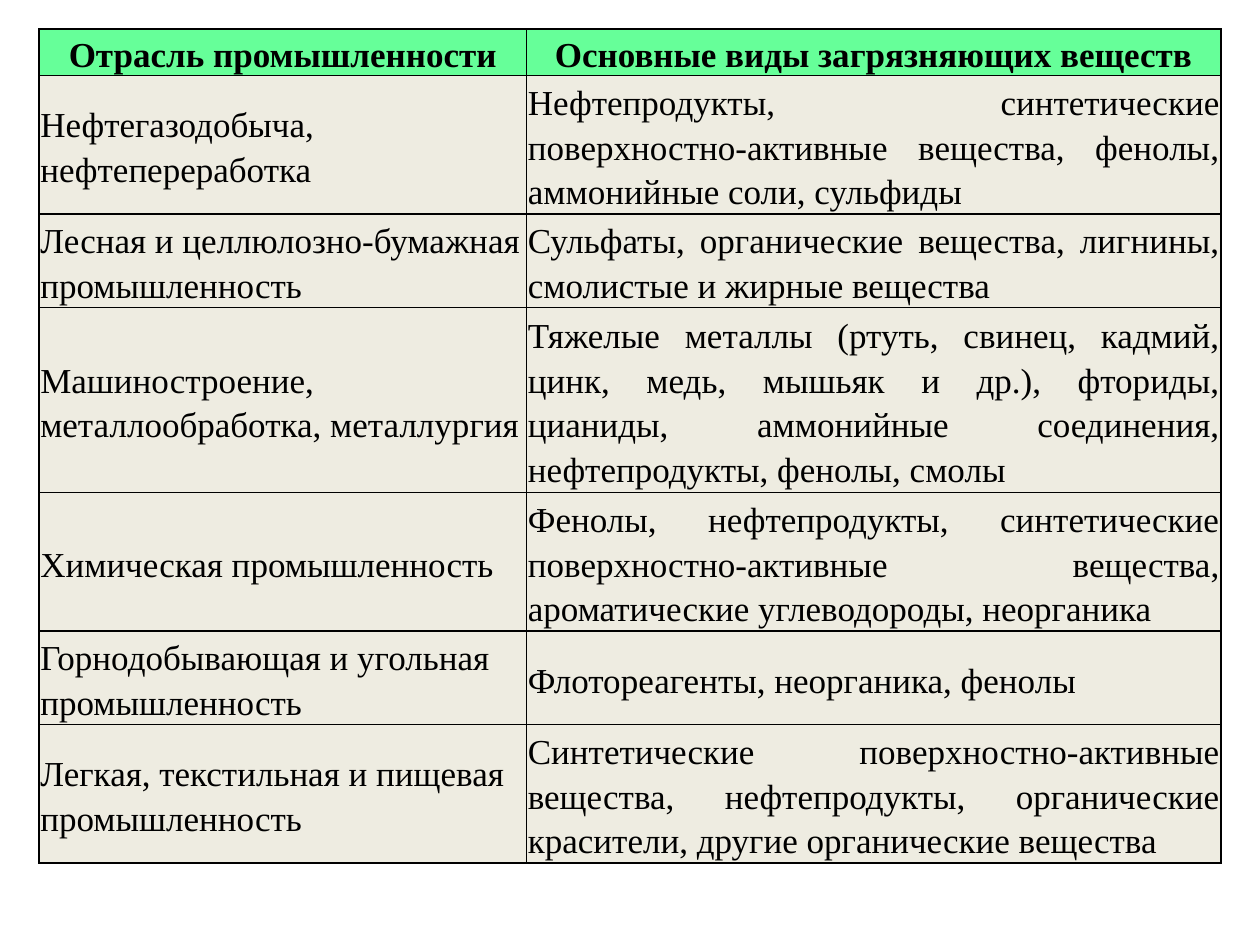
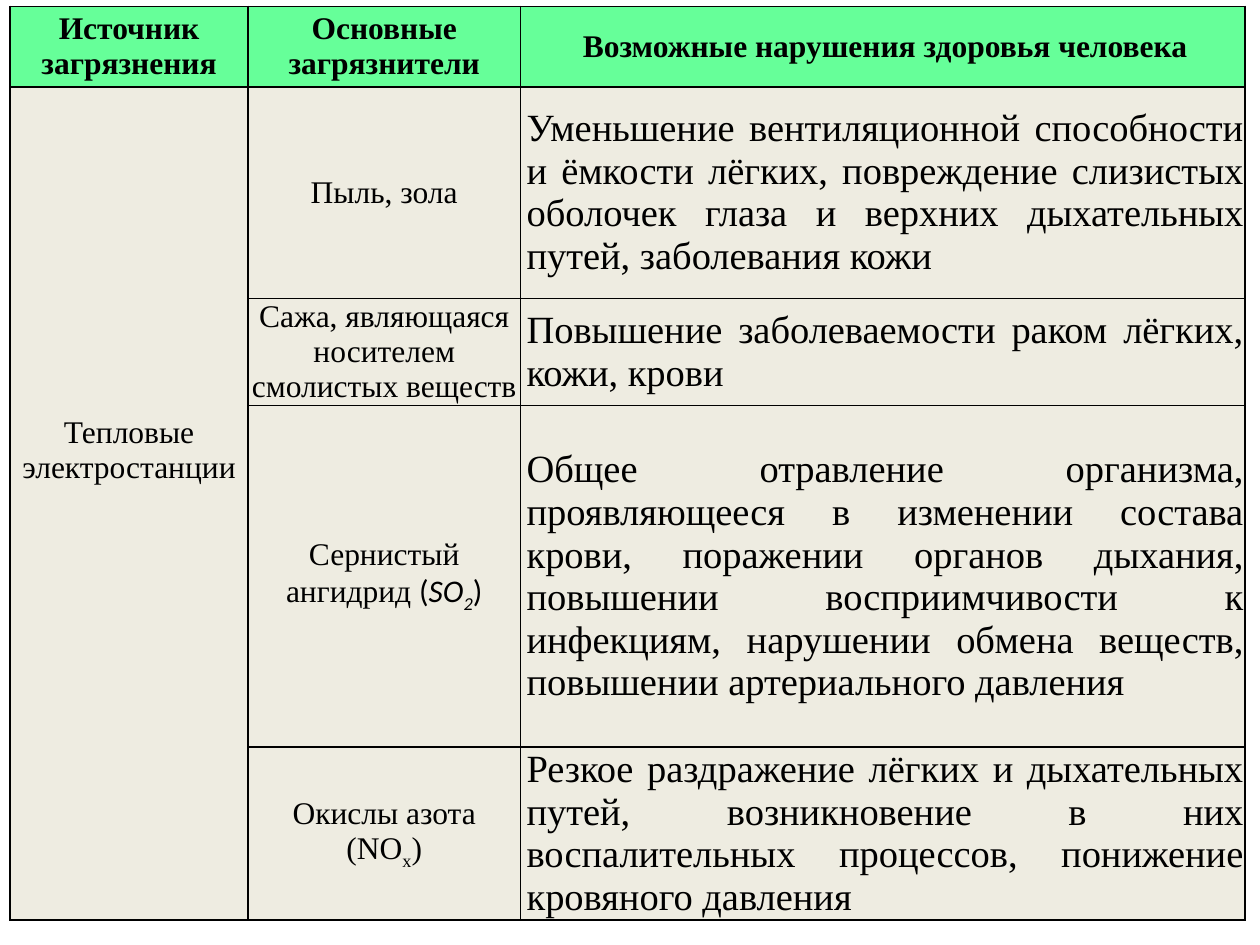
import pptx
import pptx.util
import pptx.dml.color
import pptx.enum.text
import pptx.oxml.ns
from lxml import etree

Inches, Pt = pptx.util.Inches, pptx.util.Pt
qn = pptx.oxml.ns.qn
Align = pptx.enum.text.PP_ALIGN

COLORS = {"header": "66FF99", "body": "EEECE1", "text": "000000", "border": "000000"}
FONT = "Times New Roman"
FORMULA_FONT = "Calibri"
INSET = 0.01
SUBSCRIPT = -25000

INDUSTRY_ROWS = [
    ("Отрасль промышленности", "Основные виды загрязняющих веществ"),
    ("Нефтегазодобыча, нефтепереработка",
     "Нефтепродукты, синтетические поверхностно-активные вещества, фенолы, "
     "аммонийные соли, сульфиды"),
    ("Лесная и целлюлозно-бумажная промышленность",
     "Сульфаты, органические вещества, лигнины, смолистые и жирные вещества"),
    ("Машиностроение, металлообработка, металлургия",
     "Тяжелые металлы (ртуть, свинец, кадмий, цинк, медь, мышьяк и др.), фториды, "
     "цианиды, аммонийные соединения, нефтепродукты, фенолы, смолы"),
    ("Химическая промышленность",
     "Фенолы, нефтепродукты, синтетические поверхностно-активные вещества, "
     "ароматические углеводороды, неорганика"),
    ("Горнодобывающая и угольная промышленность",
     "Флотореагенты, неорганика, фенолы"),
    ("Легкая, текстильная и пищевая промышленность",
     "Синтетические поверхностно-активные вещества, нефтепродукты, органические "
     "красители, другие органические вещества"),
]

# A cell is a string or a list of paragraphs; a paragraph is a list of (text, style) runs.
SULPHUR_DIOXIDE = [[
    ("Сернистый ангидрид ", {}),
    ("(", {"font": FORMULA_FONT}),
    ("SO", {"font": FORMULA_FONT, "italic": True}),
    ("2", {"font": FORMULA_FONT, "italic": True, "baseline": SUBSCRIPT}),
    (")", {"font": FORMULA_FONT}),
]]
NITROGEN_OXIDES = [
    [("Окислы азота", {})],
    [("(NO", {}), ("х", {"baseline": SUBSCRIPT}), (")", {})],
]
HEALTH_ROWS = [
    ("Источник загрязнения", "Основные загрязнители",
     "Возможные нарушения здоровья человека"),
    ("Тепловые электростанции", "Пыль, зола",
     "Уменьшение вентиляционной способности и ёмкости лёгких, повреждение слизистых "
     "оболочек глаза и верхних дыхательных путей, заболевания кожи"),
    (None, "Сажа, являющаяся носителем смолистых веществ",
     "Повышение заболеваемости раком лёгких, кожи, крови"),
    (None, SULPHUR_DIOXIDE,
     "Общее отравление организма, проявляющееся в изменении состава крови, поражении "
     "органов дыхания, повышении восприимчивости к инфекциям, нарушении обмена веществ, "
     "повышении артериального давления"),
    (None, NITROGEN_OXIDES,
     "Резкое раздражение лёгких и дыхательных путей, возникновение в них "
     "воспалительных процессов, понижение кровяного давления"),
]


class Deck:
    def __init__(self, width, height):
        self.prs = pptx.Presentation()
        self.prs.slide_width, self.prs.slide_height = Inches(width), Inches(height)
        self.s = None

    def add_slide(self):
        self.s = self.prs.slides.add_slide(self.prs.slide_layouts[6])

    def color(self, name):
        return pptx.dml.color.RGBColor.from_string(COLORS[name])

    def add_table(self, left, top, widths, heights, rows, aligns, sizes, header_size,
                  spacing=1.0, bottom=INSET, indents=None):
        """Draw rows under a header; aligns, sizes and indents hold one value per column."""
        indents = indents or [0] * len(widths)
        frame = self.s.shapes.add_table(
            len(rows), len(widths), Inches(left), Inches(top),
            Inches(sum(widths)), Inches(sum(heights)))
        table = frame.table
        table.first_row = table.horz_banding = False
        for column, width in zip(table.columns, widths):
            column.width = Inches(width)
        for row, height in zip(table.rows, heights):
            row.height = Inches(height)
        for i, row in enumerate(rows):
            header = i == 0
            for j, content in enumerate(row):
                cell = table.cell(i, j)
                self.style_cell(cell, "header" if header else "body", bottom)
                if content is not None:
                    self.fill_text(cell.text_frame, content,
                                   Align.CENTER if header else aligns[j],
                                   header_size if header else sizes[j],
                                   header, spacing, indents[j])
        return table

    def style_cell(self, cell, fill, bottom):
        cell.fill.solid()
        cell.fill.fore_color.rgb = self.color(fill)
        cell.vertical_anchor = pptx.enum.text.MSO_ANCHOR.MIDDLE
        cell.margin_left = cell.margin_right = cell.margin_top = Inches(INSET)
        cell.margin_bottom = Inches(bottom)
        tc_pr = cell._tc.get_or_add_tcPr()
        for n, side in enumerate(("lnL", "lnR", "lnT", "lnB")):
            line = etree.Element(qn(f"a:{side}"), w=str(Pt(1)))
            solid = etree.SubElement(line, qn("a:solidFill"))
            etree.SubElement(solid, qn("a:srgbClr"), val=COLORS["border"])
            tc_pr.insert(n, line)

    def fill_text(self, tf, content, align, size, bold, spacing, indent):
        paragraphs = [[(content, {})]] if isinstance(content, str) else content
        for n, runs in enumerate(paragraphs):
            p = tf.add_paragraph() if n else tf.paragraphs[0]
            p.alignment = align
            p.line_spacing = spacing
            if indent:
                p._p.get_or_add_pPr().set("marL", str(Inches(indent)))
            for text, style in runs:
                self.add_run(p, text, size, bold, **style)

    def add_run(self, p, text, size, bold, font=FONT, italic=False, baseline=0):
        r = p.add_run()
        r.text = text
        r.font.name, r.font.size = font, Pt(size)
        r.font.bold, r.font.italic = bold, italic
        r.font.color.rgb = self.color("text")
        if baseline:
            r._r.get_or_add_rPr().set("baseline", str(baseline))


def add_industry_slide(deck):
    deck.add_slide()
    deck.add_table(
        0.31, 0.23, [3.87, 5.51], [0.37, 1.1, 0.74, 1.47, 1.1, 0.74, 1.1],
        INDUSTRY_ROWS, aligns=[Align.LEFT, Align.JUSTIFY], sizes=[20, 20],
        header_size=20, spacing=1.15, bottom=0)


def add_health_slide(deck):
    deck.add_slide()
    table = deck.add_table(
        0.08, 0.05, [1.89, 2.16, 5.75], [0.64, 1.68, 0.85, 2.71, 1.26],
        HEALTH_ROWS, aligns=[Align.CENTER, Align.CENTER, Align.JUSTIFY],
        sizes=[18, 18, 22], header_size=18, indents=[0, 0, 0.04])
    source = table.cell(1, 0)
    source.merge(table.cell(len(HEALTH_ROWS) - 1, 0))
    source.margin_bottom = Inches(0.86)  # lifts the label above the middle


def main():
    deck = Deck(10, 7.5)
    add_industry_slide(deck)
    add_health_slide(deck)
    deck.prs.save("out.pptx")


if __name__ == "__main__":
    main()
